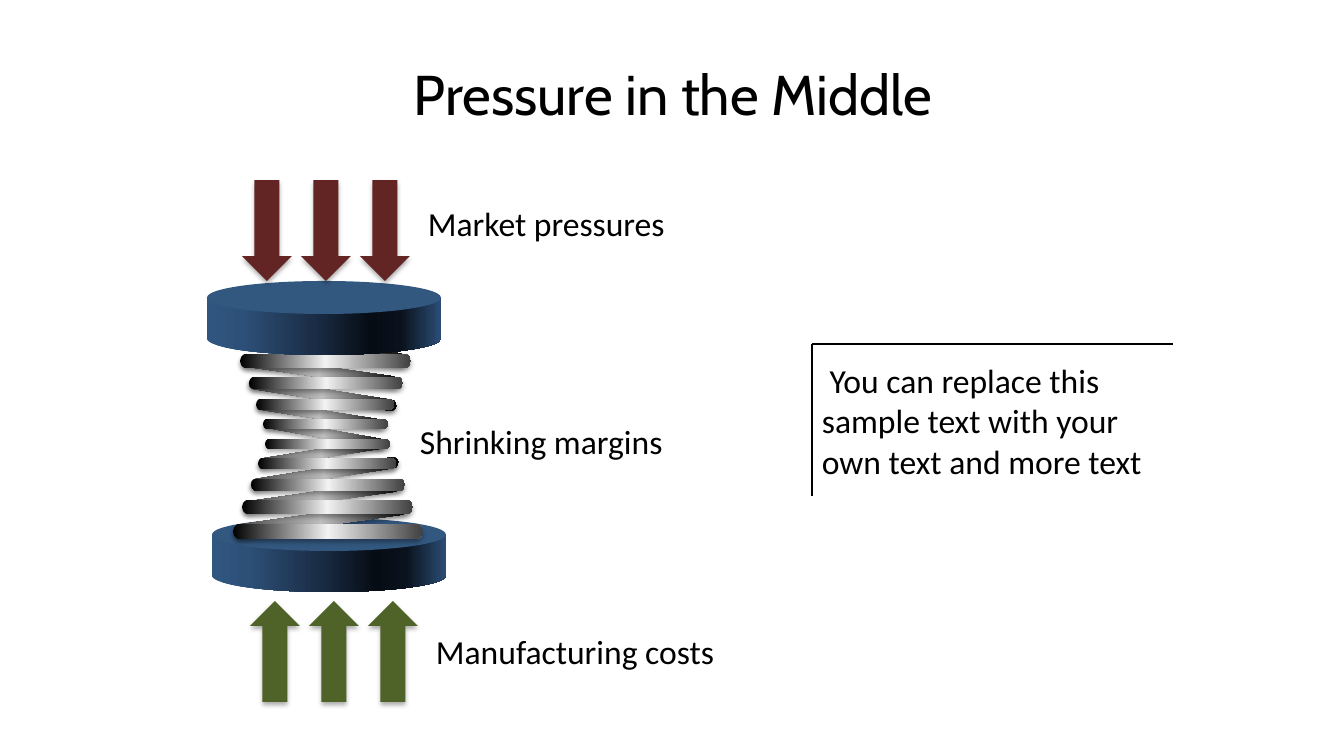
"""Build the "Pressure in the Middle" slide: a coil spring squeezed between two discs."""
from math import cos, pi, sin

from lxml.etree import SubElement
from pptx import Presentation
from pptx.dml.color import RGBColor
from pptx.enum.shapes import MSO_CONNECTOR, MSO_SHAPE
from pptx.enum.text import MSO_ANCHOR, MSO_AUTO_SIZE, PP_ALIGN
from pptx.oxml.ns import qn
from pptx.util import Emu, Pt

PX = 914400 / 100.8

THEME = {
    "ink": "000000", "disc": "335880", "market": "632523", "costs": "4F6228",
    "title": {"name": "Cabin", "size": Pt(40)},
    "body": {"name": "Calibri", "size": Pt(24)},
    "back_coil": [(0, "404040"), (50, "BFBFBF"), (100, "000000")],
    "front_coil": [(0, "000000"), (50, "F2F2F2"), (100, "404040")],
    "disc_side": [(0, "305680"), (15, "2D5078"), (45, "1B2E47"),
                  (70, "060C14"), (83, "0A121D"), (100, "2B4D75")],
    "shadow": {"blurRad": Pt(3.5), "dist": Pt(2.2), "dir": 90 * 60000},
}

TITLE = ("Pressure in the Middle", (68, 30, 1210, 126))
LABELS = [
    ("Market pressures", (418, 198, 260, 50), False),
    ("Manufacturing costs", (426, 626, 301, 50), False),
    ("Shrinking margins", (410, 416, 265, 50), False),
    (" You can replace this sample text with your own text and more text",
     (812, 355, 361, 132), True),
]
ARROWS = [(MSO_SHAPE.DOWN_ARROW, "market", 242, 180), (MSO_SHAPE.UP_ARROW, "costs", 250, 601)]
ARROW_COUNT, ARROW_STEP, ARROW_SIZE = 3, 59, (50, 101)
DISC_WIDTH, DISC_TOP, DISC_DEPTH = 234, 33, 41
TOP_DISC, BOTTOM_DISC = (207, 281), (212, 518)
MIDDLE_COIL = ((264, 429, 121, 9), 10)
BACK_COILS = [((232, 342, 174, 13), 8), ((241, 366, 157, 11), 8),
              ((248, 389, 149, 11), 9), ((256, 410, 127, 9), 9)]
FRONT_COILS = [((263, 419, 125, 10), 0), ((256, 399, 138, 11), 0), ((249, 377, 154, 12), 0),
               ((240, 354, 171, 14), 0), ((231, 329, 190, 15), 0)]
MIRROR_SUM, MIRROR_SHIFT = 868, 2
RULES = [(812, 344, 812, 496), (812, 344, 1173, 344)]


def emu(*lengths):
    return [Emu(round(n * PX)) for n in lengths]


def paint(sp, fill, shadow=False):
    sp.line.fill.background()
    sp.shadow.inherit = False
    spPr = sp.element.spPr
    if isinstance(fill, str):
        sp.fill.solid()
        sp.fill.fore_color.rgb = RGBColor.from_string(fill)
    else:
        sp.fill.gradient()
        sp.fill.gradient_angle = 0
        stops = spPr.find(".//" + qn("a:gsLst"))
        for old in list(stops):
            stops.remove(old)
        for pos, color in fill:
            stop = SubElement(stops, qn("a:gs"), pos=str(pos * 1000))
            SubElement(stop, qn("a:srgbClr"), val=color)
    if shadow:
        values = {k: str(int(v)) for k, v in THEME["shadow"].items()}
        outer = SubElement(spPr.find(qn("a:effectLst")), qn("a:outerShdw"),
                           algn="ctr", rotWithShape="0", **values)
        color = SubElement(outer, qn("a:srgbClr"), val=THEME["ink"])
        SubElement(color, qn("a:alpha"), val="32000")


def write(tf, text, style):
    p = tf.paragraphs[0]
    r = p.add_run()
    r.text = text
    for key, value in THEME[style].items():
        setattr(r.font, key, value)
    r.font.color.rgb = RGBColor.from_string(THEME["ink"])
    return p


def add_disc(s, x, y):
    rx, ry = DISC_WIDTH / 2, DISC_TOP / 2
    rim = [emu(x + rx - rx * cos(pi * i / 40), y + ry + DISC_DEPTH + ry * sin(pi * i / 40))
           for i in range(41)]
    left, right, top = emu(x, x + DISC_WIDTH, y + ry)
    builder = s.shapes.build_freeform(left, top)
    builder.add_line_segments(rim + [(right, top)])
    paint(builder.convert_to_shape(), THEME["disc_side"])
    face = s.shapes.add_shape(MSO_SHAPE.OVAL, *emu(x, y, DISC_WIDTH, DISC_TOP))
    paint(face, THEME["disc"])


def add_coils(s, coils, fill):
    for box, angle in coils:
        sp = s.shapes.add_shape(MSO_SHAPE.ROUNDED_RECTANGLE, *emu(*box))
        sp.adjustments[0] = 0.5
        sp.rotation = angle
        paint(sp, THEME[fill], shadow=True)


def mirror(coils):
    return [((x + MIRROR_SHIFT, MIRROR_SUM - y - h, w, h), -angle)
            for (x, y, w, h), angle in coils]


def add_arrows(s):
    for kind, color, x, y in ARROWS:
        for i in range(ARROW_COUNT):
            sp = s.shapes.add_shape(kind, *emu(x + i * ARROW_STEP, y, *ARROW_SIZE))
            paint(sp, THEME[color], shadow=True)


def add_title(s):
    text, box = TITLE
    sp = s.shapes.title
    for key, value in zip(("left", "top", "width", "height"), emu(*box)):
        setattr(sp, key, value)
    tf = sp.text_frame
    tf.auto_size = MSO_AUTO_SIZE.NONE
    tf.vertical_anchor = MSO_ANCHOR.MIDDLE
    write(tf, text, "title").alignment = PP_ALIGN.CENTER


def add_labels(s):
    for text, box, wrap in LABELS:
        tf = s.shapes.add_textbox(*emu(*box)).text_frame
        tf.word_wrap = wrap
        tf.auto_size = MSO_AUTO_SIZE.SHAPE_TO_FIT_TEXT
        write(tf, text, "body")


def add_rules(s):
    for ends in RULES:
        line = s.shapes.add_connector(MSO_CONNECTOR.STRAIGHT, *emu(*ends))
        line.line.width = Pt(0.75)
        line.line.color.rgb = RGBColor.from_string(THEME["ink"])
        SubElement(line.element.spPr, qn("a:effectLst"))


def main():
    prs = Presentation()
    prs.slide_width, prs.slide_height = emu(1344, 756)
    s = prs.slides.add_slide(prs.slide_layouts[5])
    add_title(s)
    add_disc(s, *BOTTOM_DISC)
    add_coils(s, [MIDDLE_COIL], "back_coil")
    for flip in (list, mirror):
        add_coils(s, flip(BACK_COILS), "back_coil")
        add_coils(s, flip(FRONT_COILS), "front_coil")
    add_disc(s, *TOP_DISC)
    add_arrows(s)
    add_labels(s)
    add_rules(s)
    prs.save("out.pptx")


if __name__ == "__main__":
    main()
